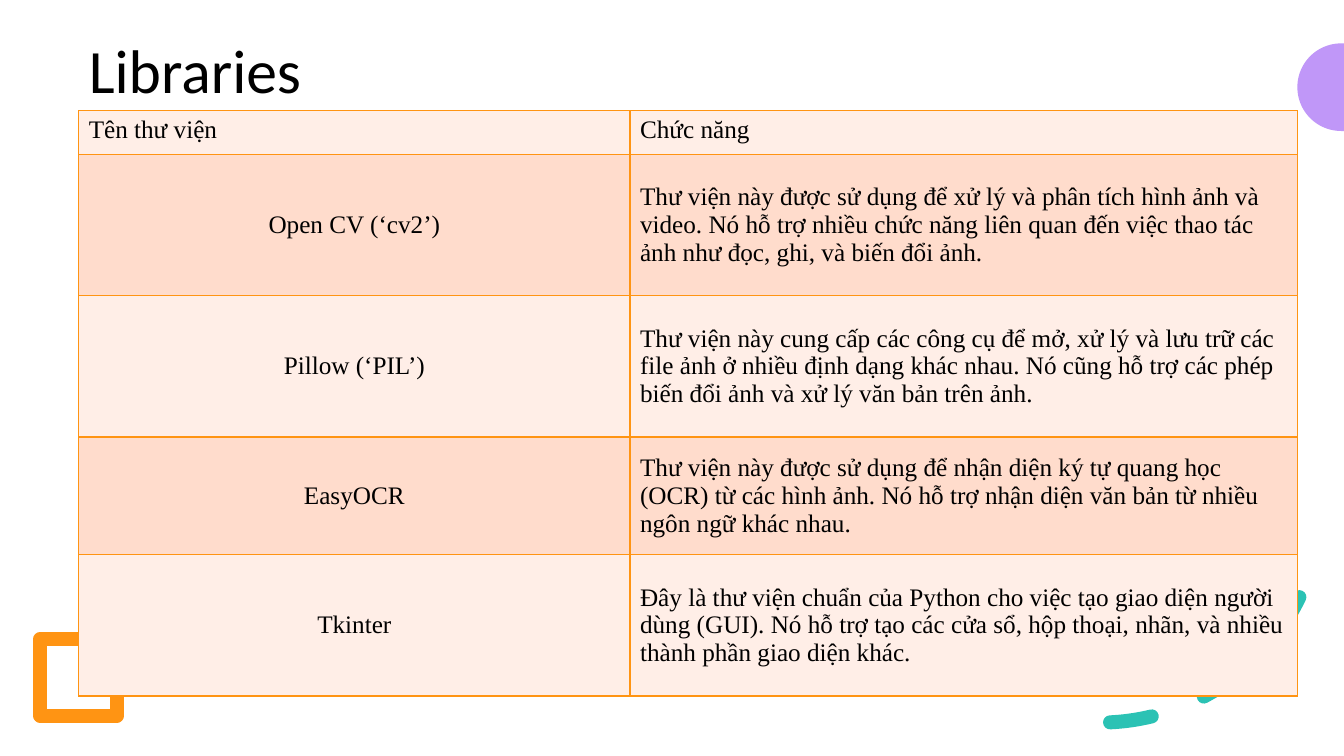
import math
from lxml import etree
from pptx import Presentation
from pptx import util as u
from pptx.dml.color import RGBColor
from pptx.enum import dml, shapes, text
from pptx.oxml import ns

ORANGE = RGBColor(0xFF, 0x94, 0x13)
TEAL = RGBColor(0x2B, 0xC2, 0xB4)
PURPLE = RGBColor(0xC0, 0x97, 0xF8)
LIGHT = RGBColor(0xFF, 0xEE, 0xE7)
PEACH = RGBColor(0xFF, 0xDC, 0xCC)
BLACK = RGBColor(0, 0, 0)

WIDTH, HEIGHT = 960, 540
COLS = [393.8, 476.6]
ROWS = [31.3, 100.8, 100.8, 84.2, 100.8]
HEAD = ("Tên thư viện", "Chức năng")
LIBS = [
    ("Open CV (‘cv2’)",
     "Thư viện này được sử dụng để xử lý và phân tích hình ảnh và video. "
     "Nó hỗ trợ nhiều chức năng liên quan đến việc thao tác ảnh như đọc, "
     "ghi, và biến đổi ảnh."),
    ("Pillow (‘PIL’)",
     "Thư viện này cung cấp các công cụ để mở, xử lý và lưu trữ các file "
     "ảnh ở nhiều định dạng khác nhau. Nó cũng hỗ trợ các phép biến đổi ảnh "
     "và xử lý văn bản trên ảnh."),
    ("EasyOCR",
     "Thư viện này được sử dụng để nhận diện ký tự quang học (OCR) từ các "
     "hình ảnh. Nó hỗ trợ nhận diện văn bản từ nhiều ngôn ngữ khác nhau."),
    ("Tkinter",
     "Đây là thư viện chuẩn của Python cho việc tạo giao diện người dùng "
     "(GUI). Nó hỗ trợ tạo các cửa sổ, hộp thoại, nhãn, và nhiều thành phần "
     "giao diện khác."),
]


def write(frame, words, font="Times New Roman", size=18, color=BLACK,
          align=text.PP_ALIGN.LEFT, space=1.0):
    para = frame.paragraphs[0]
    para.alignment, para.line_spacing = align, space
    run = para.add_run()
    run.text = words
    run.font.name, run.font.size = font, u.Pt(size)
    run.font.color.rgb = color


class Deck:
    def __init__(self):
        self.prs = Presentation()
        self.prs.slide_width = u.Pt(WIDTH)
        self.prs.slide_height = u.Pt(HEIGHT)
        self.slide = self.prs.slides.add_slide(self.prs.slide_layouts[5])
        self.items = self.slide.shapes

    def title(self, words, x, y, w, h):
        box = self.items.title
        box.left, box.top, box.width, box.height = map(u.Pt, (x, y, w, h))
        box.text_frame.vertical_anchor = text.MSO_ANCHOR.MIDDLE
        write(box.text_frame, words, font="Calibri", size=44, space=0.9)

    def stroke(self, kind, x, y, w, h, color, dash=None):
        """Add an unfilled shape with a thick, rounded outline."""
        shape = self.items.add_shape(kind, *map(u.Pt, (x, y, w, h)))
        shape.shadow.inherit = False
        shape.fill.background()
        shape.line.color.rgb, shape.line.width = color, u.Pt(10)
        if dash:
            shape.line.dash_style = dash
        line = shape.element.spPr.find(ns.qn("a:ln"))
        line.set("cap", "rnd")
        etree.SubElement(line, ns.qn("a:round"))
        return shape

    def arc(self, x, y, size, color, start, end, turn):
        shape = self.stroke(shapes.MSO_SHAPE.ARC, x, y, size, size, color,
                            dml.MSO_LINE.DASH)
        shape.adjustments[0], shape.adjustments[1] = start, end
        shape.rotation = turn
        shape.element.spPr.find(ns.qn("a:xfrm")).set("flipV", "1")

    def disc(self, x, y, r, color):
        """Add a disc cut off by the right edge of the slide."""
        rim = [(x - r * math.sin(math.radians(a)),
                y - r * math.cos(math.radians(a))) for a in range(0, 181, 3)]
        pts = [(u.Pt(a), u.Pt(b))
               for a, b in rim + [(WIDTH, y + r), (WIDTH, y - r)]]
        path = self.items.build_freeform(*pts[0])
        path.add_line_segments(pts[1:], close=True)
        shape = path.convert_to_shape()
        shape.shadow.inherit = False
        shape.fill.solid()
        shape.fill.fore_color.rgb = color
        shape.line.fill.background()

    def border(self, cell, color, width):
        props = cell._tc.get_or_add_tcPr()
        for side in ("lnL", "lnR", "lnT", "lnB"):
            line = etree.SubElement(props, ns.qn("a:" + side),
                                    w=str(u.Pt(width)))
            fill = etree.SubElement(line, ns.qn("a:solidFill"))
            etree.SubElement(fill, ns.qn("a:srgbClr"), val=str(color))

    def table(self, rows, x, y, cols, highs):
        grid = self.items.add_table(
            len(rows), len(cols), u.Pt(x), u.Pt(y),
            u.Pt(sum(cols)), u.Pt(sum(highs))).table
        grid.first_row = grid.horz_banding = False
        for col, wide in zip(grid.columns, cols):
            col.width = u.Pt(wide)
        for row, high in zip(grid.rows, highs):
            row.height = u.Pt(high)
        for r, row in enumerate(rows):
            for c, words in enumerate(row):
                cell = grid.cell(r, c)
                self.border(cell, ORANGE, 1)
                cell.fill.solid()
                cell.fill.fore_color.rgb = PEACH if r % 2 else LIGHT
                if r:
                    cell.vertical_anchor = text.MSO_ANCHOR.MIDDLE
                mid = r > 0 and c == 0
                write(cell.text_frame, words, align=text.PP_ALIGN.CENTER
                      if mid else text.PP_ALIGN.LEFT)


def main():
    deck = Deck()
    # Decoration
    deck.stroke(shapes.MSO_SHAPE.RECTANGLE, 28.8, 456.5, 54.7, 54.7, ORANGE)
    deck.arc(627.1, 199.4, 316.8, TEAL, 162, 200.93, 357.3)
    deck.disc(958, 62.3, 31.3, PURPLE)
    # Title
    deck.title("Libraries", 56.2, 0, 828, 104.4)
    # Table of libraries
    deck.table([HEAD] + LIBS, 56.2, 79.2, COLS, ROWS)
    deck.prs.save("out.pptx")


if __name__ == "__main__":
    main()
